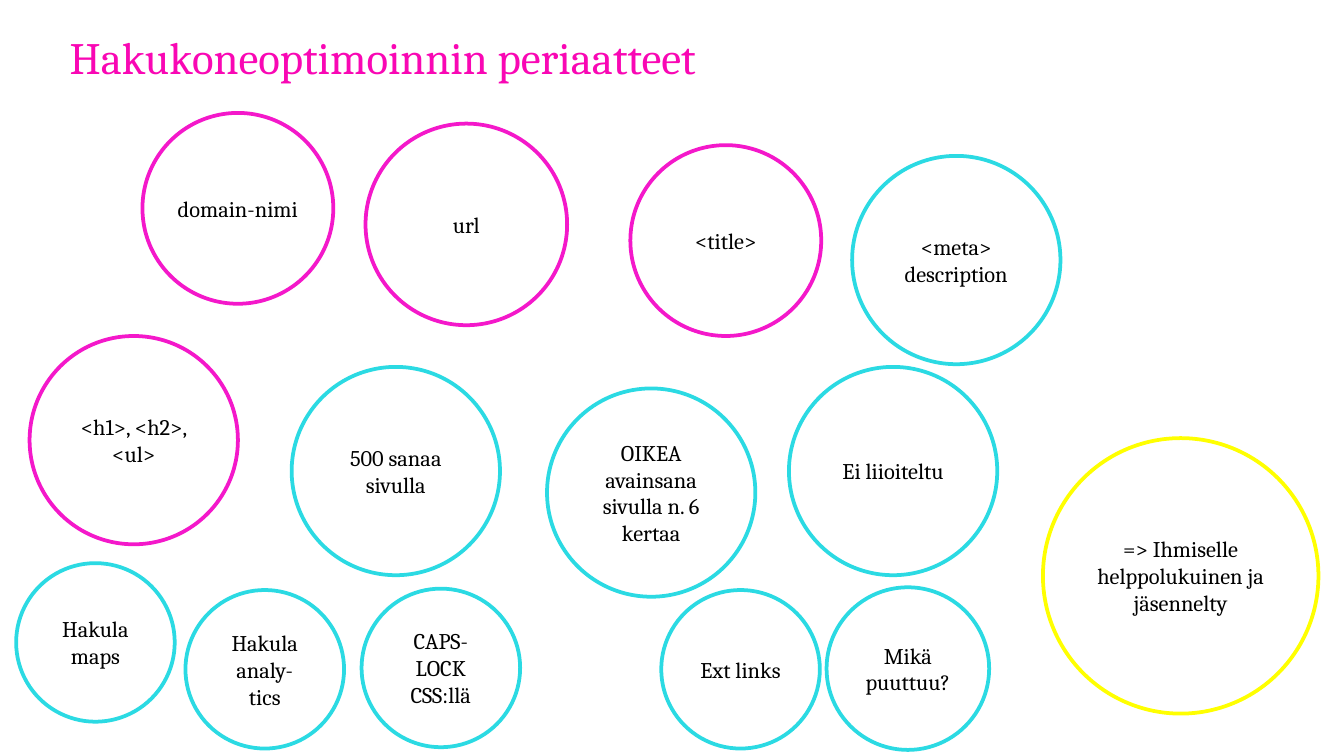
import dataclasses

import lxml.etree
import pptx
import pptx.dml.color
import pptx.enum.shapes
import pptx.enum.text
import pptx.oxml.ns
import pptx.util

Inches = pptx.util.Inches
Pt = pptx.util.Pt
qn = pptx.oxml.ns.qn


def rgb(code):
    return pptx.dml.color.RGBColor.from_string(code)


@dataclasses.dataclass(frozen=True)
class Theme:
    font: str = "Cambria"
    head: int = 24
    body: int = 12
    rim: int = 2
    title: str = "F907B4"
    ink: str = "000000"
    paper: str = "FFFFFF"
    pink: str = "F418CA"
    blue: str = "2BDAE3"
    gold: str = "FFFF00"


THEME = Theme()

STYLES = {
    "tag": (THEME.pink, 34, 0.04),
    "list": (THEME.pink, 40, 0.1),
    "tip": (THEME.blue, 40, 0.1),
    "goal": (THEME.gold, 40, 0.1),
}

RINGS = [
    ("<title>", "tag", 4.69, 1.08, 1.42),
    ("<meta> description", "tip", 6.34, 1.16, 1.55),
    ("domain-nimi", "tag", 1.06, 0.84, 1.42),
    ("url", "tag", 2.72, 0.92, 1.5),
    ("500 sanaa sivulla", "tip", 2.17, 2.73, 1.55),
    ("OIKEA\vavainsana sivulla n. 6 kertaa", "tip", 4.07, 2.89, 1.55),
    ("<h1>, <h2>, <ul>", "list", 0.22, 2.5, 1.55),
    ("Ei liioiteltu", "tip", 5.87, 2.73, 1.55),
    ("=> Ihmiselle helppolukuinen ja jäsennelty", "goal", 7.76, 3.26, 2.05),
    ("Hakula maps", "tip", 0.12, 4.19, 1.18),
    ("Hakula analy-tics", "tip", 1.38, 4.39, 1.18),
    ("CAPS-LOCK CSS:llä", "tip", 2.69, 4.38, 1.18),
    ("Ext links", "tip", 4.92, 4.39, 1.18),
    ("Mikä puuttuu?", "tip", 6.15, 4.37, 1.21),
]


def write(shape, text, size, color, align, pad):
    frame = shape.text_frame
    frame.word_wrap = True
    frame.vertical_anchor = pptx.enum.text.MSO_ANCHOR.MIDDLE
    frame.margin_left = frame.margin_right = Inches(pad)
    para = frame.paragraphs[0]
    para.text = text
    para.alignment = align
    for run in para.runs:
        run.font.name = THEME.font
        run.font.size = Pt(size)
        run.font.color.rgb = rgb(color)


def add_title(slide, left, top, width, height):
    box = slide.shapes.add_textbox(
        Inches(left), Inches(top), Inches(width), Inches(height)
    )
    write(box, "Hakukoneoptimoinnin periaatteet", THEME.head, THEME.title,
          pptx.enum.text.PP_ALIGN.LEFT, 0.1)


def add_ring(slide, left, top, size, text, style):
    color, alpha, pad = STYLES[style]
    ring = slide.shapes.add_shape(
        pptx.enum.shapes.MSO_SHAPE.OVAL,
        Inches(left), Inches(top), Inches(size), Inches(size),
    )
    ring.shadow.inherit = False
    ring.fill.solid()
    ring.fill.fore_color.rgb = rgb(THEME.paper)
    paint = ring.element.spPr.find(qn("a:solidFill")).find(qn("a:srgbClr"))
    lxml.etree.SubElement(paint, qn("a:alpha"), val=str(alpha * 1000))
    ring.line.color.rgb = rgb(color)
    ring.line.width = Pt(THEME.rim)
    write(ring, text, THEME.body, THEME.ink,
          pptx.enum.text.PP_ALIGN.CENTER, pad)


def add_rings(slide, left, top):
    for text, style, x, y, size in RINGS:
        add_ring(slide, left + x, top + y, size, text, style)


def main():
    deck = pptx.Presentation()
    deck.slide_width = Inches(10)
    deck.slide_height = Inches(10 * 9 / 16)
    slide = deck.slides.add_slide(deck.slide_layouts[6])
    add_title(slide, 0.42, 0.06, 9, 0.72)
    add_rings(slide, 0, 0)
    deck.save("out.pptx")


if __name__ == "__main__":
    main()
